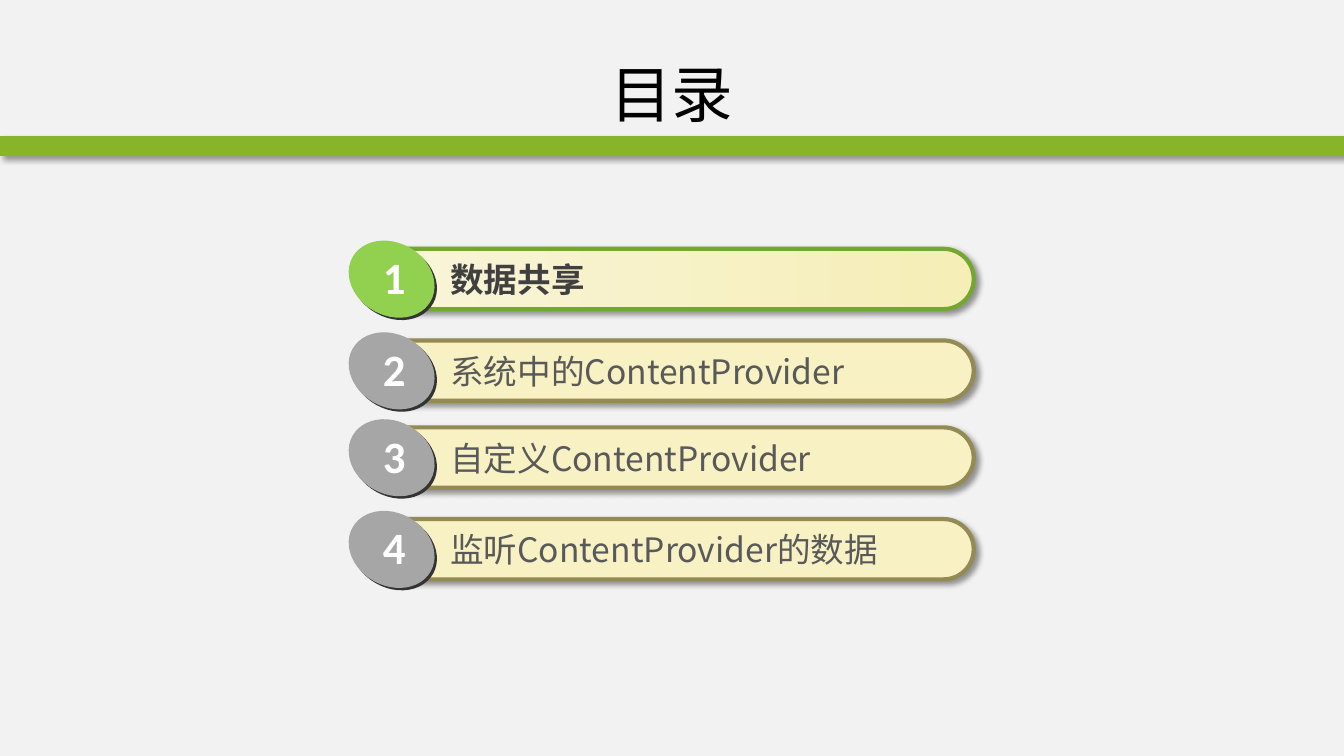
from lxml import etree
from pptx import Presentation
from pptx.dml.color import RGBColor
from pptx.enum.shapes import MSO_SHAPE
from pptx.enum.text import MSO_ANCHOR, PP_ALIGN
from pptx.oxml import parse_xml
from pptx.oxml.ns import qn
from pptx.util import Cm, Pt

RECT, PILL, OVAL = MSO_SHAPE.RECTANGLE, MSO_SHAPE.ROUNDED_RECTANGLE, MSO_SHAPE.OVAL
MIDDLE, LEFT, CENTER = MSO_ANCHOR.MIDDLE, PP_ALIGN.LEFT, PP_ALIGN.CENTER
WIDE, TALL = 33.87, 19.05
HAN, LATIN = "Noto Sans CJK SC", "Calibri"
COLORS = {
    "back": "F2F2F2", "band": "88B429", "title": "000000", "white": "FFFFFF",
    "pale": "F9F5D9", "cream": "F5EEB7", "sand": "F7F1C4",
    "leaf": "74A731", "olive": "948A54", "rim": "333333",
    "lime": "92D050", "gray": "A6A6A6", "dark": "404040", "soft": "595959",
}
SHADOW = (
    '<a:outerShdw xmlns:a="http://schemas.openxmlformats.org/drawingml/2006/main"'
    ' blurRad="50800" dist="38100" dir="2700000" algn="tl" rotWithShape="0">'
    '<a:srgbClr val="000000"><a:alpha val="40000"/></a:srgbClr></a:outerShdw>'
)
TOPICS = [
    (6.12, "数据共享"),
    (8.43, "系统中的ContentProvider"),
    (10.62, "自定义ContentProvider"),
    (12.93, "监听ContentProvider的数据"),
]


def color(name):
    return RGBColor.from_string(COLORS[name])


def add_form(shapes, kind, box, fill, shade=False):
    form = shapes.add_shape(kind, *map(Cm, box))
    form.shadow.inherit = False
    form.fill.solid()
    form.fill.fore_color.rgb = color(fill)
    form.line.fill.background()
    if shade:
        effects = form._element.spPr.find(qn("a:effectLst"))
        effects.append(parse_xml(SHADOW))
    return form


def add_text(shapes, box, text, size, face, ink, bold=False, wrap=True, align=LEFT):
    area = shapes.add_textbox(*map(Cm, box))
    frame = area.text_frame
    frame.word_wrap = wrap
    para = frame.paragraphs[0]
    para.alignment = align
    run = para.add_run()
    run.text = text
    font = run.font
    font.size, font.name, font.bold = Pt(size), face, bold
    font.color.rgb = color(ink)
    asian = etree.SubElement(font._element, qn("a:ea"))
    asian.set("typeface", face)
    return frame


def add_head(slide, top, width):
    """Place the title so that its box ends with the green band."""
    add_form(slide.shapes, RECT, (0, top + 2.67, width, 0.5), "band", True)
    box = (1.7, top, width - 3.4, 3.17)
    frame = add_text(slide.shapes, box, "目录", 44, HAN, "title", align=CENTER)
    frame.vertical_anchor = MIDDLE


def add_topic(slide, left, top, number, text, active):
    """Place one row: a pill with its label and a numbered, tilted disc."""
    shapes = slide.shapes.add_group_shape().shapes
    bar = add_form(shapes, PILL, (left + 0.56, top + 0.15, 15.24, 1.52), "sand", True)
    bar.adjustments[0] = 0.5
    bar.line.color.rgb = color("leaf" if active else "olive")
    bar.line.width = Pt(3)
    if active:
        bar.fill.gradient()
        bar.fill.gradient_angle = 0
        for stop, tint in zip(bar.fill.gradient_stops, ("pale", "cream")):
            stop.color.rgb = color(tint)

    add_text(shapes, (left + 2.36, top + 0.28, 12.9, 1.28), text, 24, HAN,
             "dark" if active else "soft", bold=active)

    for shift, fill in ((0.06, "rim"), (0, "lime" if active else "gray")):
        disc = add_form(shapes, OVAL, (left + shift, top + shift, 2.26, 1.83), fill)
        disc.rotation = 29.3
    add_text(shapes, (left + 0.66, top + 0.05, 1.09, 1.63), str(number), 32, LATIN,
             "white", bold=True, wrap=False)


def main():
    deck = Presentation()
    deck.slide_width, deck.slide_height = Cm(WIDE), Cm(TALL)
    slide = deck.slides.add_slide(deck.slide_layouts[6])
    slide.background.fill.solid()
    slide.background.fill.fore_color.rgb = color("back")
    add_head(slide, 0.76, WIDE)
    for number, (top, text) in enumerate(TOPICS, 1):
        add_topic(slide, 8.74, top, number, text, number == 1)
    deck.save("out.pptx")


if __name__ == "__main__":
    main()
